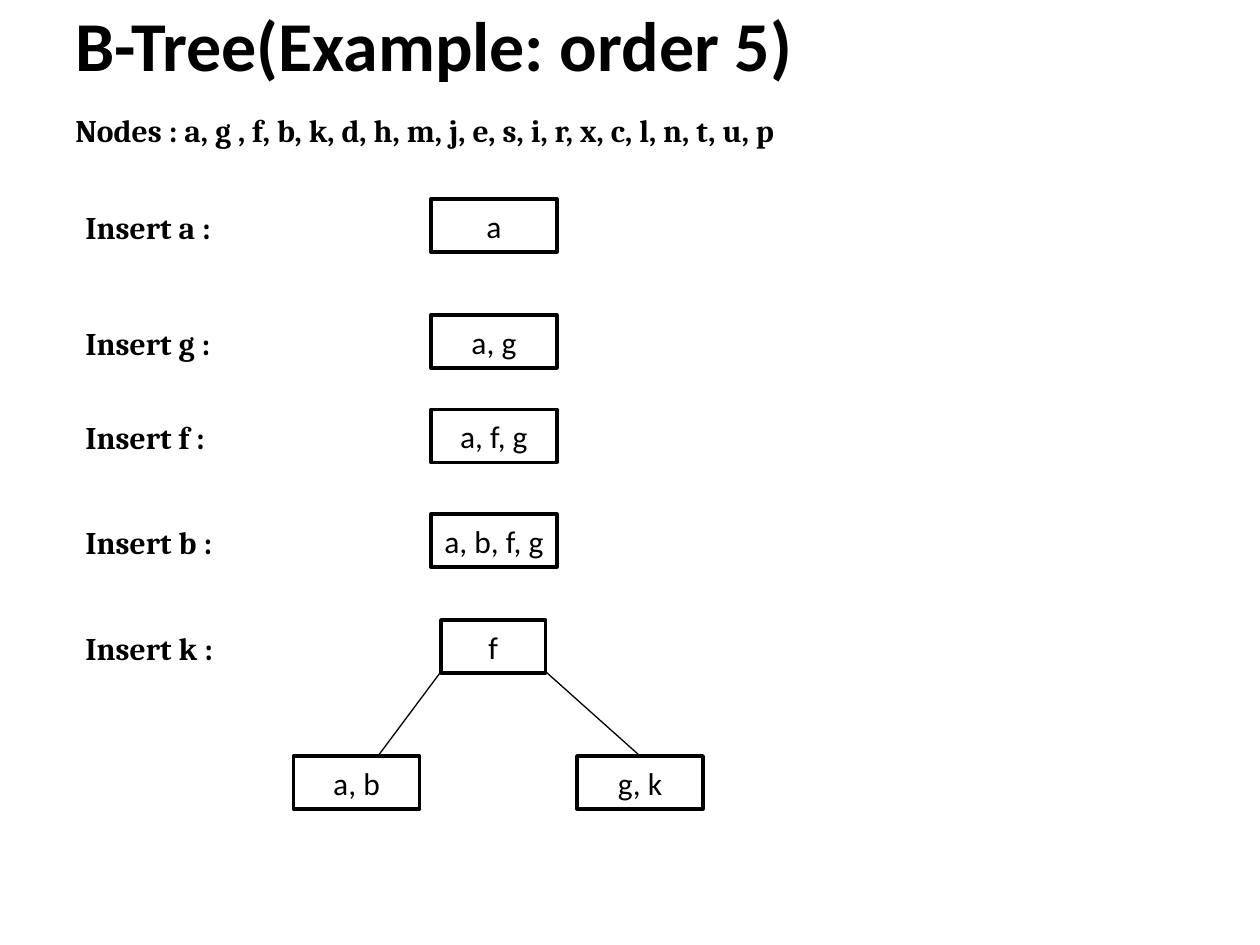
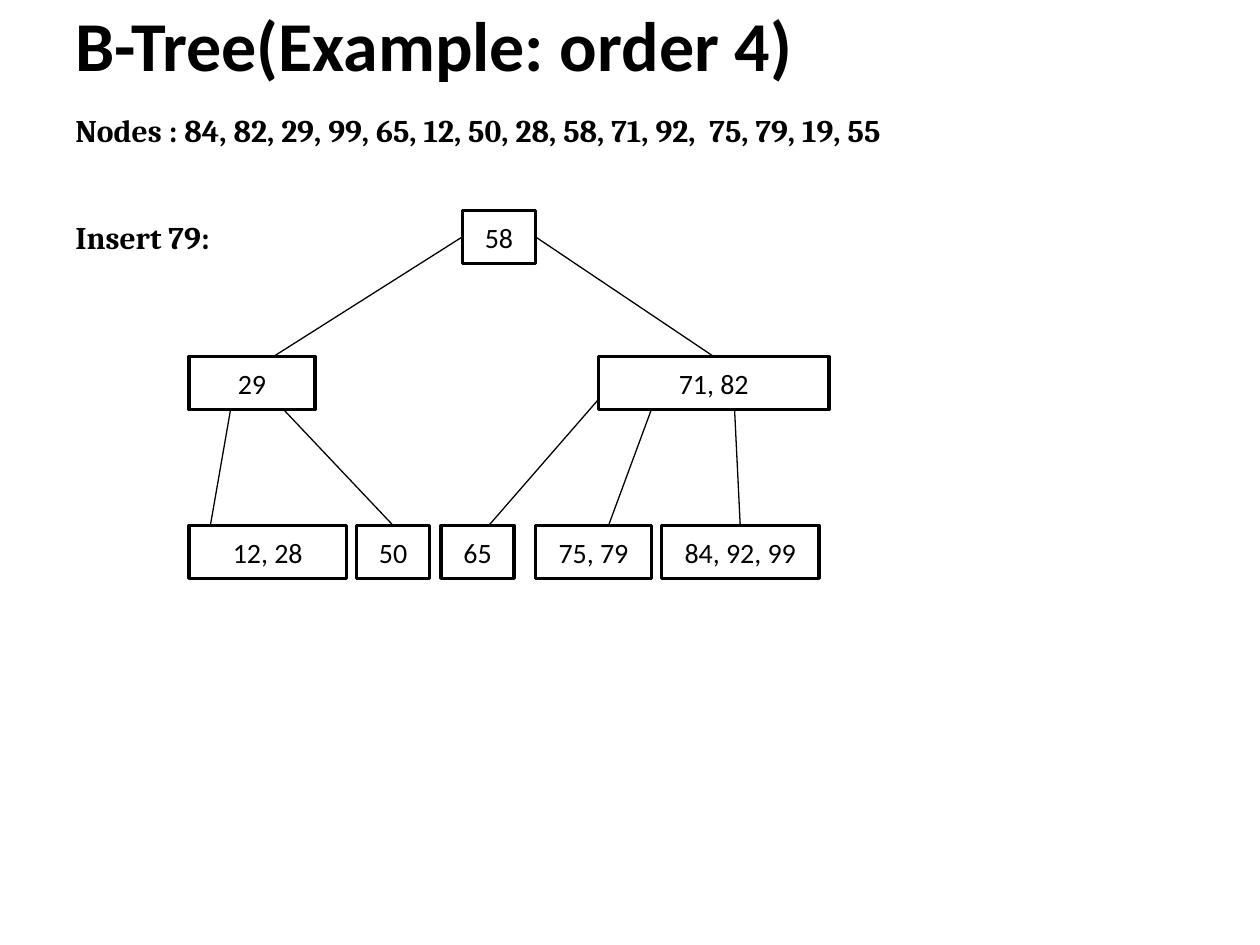
import pptx
import pptx.util
import pptx.dml.color
import pptx.enum.shapes
import pptx.enum.text
from dataclasses import dataclass
from lxml import etree
from pptx.util import Inches


@dataclass(frozen=True)
class Theme:
    ink = pptx.dml.color.RGBColor(0x00, 0x00, 0x00)
    paper = pptx.dml.color.RGBColor(0xFF, 0xFF, 0xFF)
    node_font = "Calibri"
    label_font = "Cambria"
    title_size = 40
    label_size = 18
    border = 2
    edge = 0.75
    node_height = 0.42


theme = Theme()
ALIGN = pptx.enum.text.PP_ALIGN
ANCHOR = pptx.enum.text.MSO_ANCHOR


def write(box, text, font, size, bold, align, anchor):
    """Fill a shape with one styled run inside the shared margins."""
    frame = box.text_frame
    frame.word_wrap = True
    frame.auto_size = pptx.enum.text.MSO_AUTO_SIZE.NONE
    frame.vertical_anchor = anchor
    frame.margin_left = frame.margin_right = Inches(0.1)
    frame.margin_top = frame.margin_bottom = Inches(0.05)
    para = frame.paragraphs[0]
    para.alignment = align
    span = para.add_run()
    span.text = text
    span.font.name = font
    span.font.size = pptx.util.Pt(size)
    span.font.bold = bold
    span.font.color.rgb = theme.ink


def add_label(page, text, left, top, width):
    box = page.shapes.add_textbox(Inches(left), Inches(top), Inches(width), Inches(0.4))
    write(box, text, theme.label_font, theme.label_size, True, ALIGN.JUSTIFY, ANCHOR.TOP)


# Labels are (text, left, top); nodes are (keys, left, top, width).
# An edge end is either a point (x, y) or a node side (keys, side).
insertions = [("a", "a", 1.58), ("g", "a, g", 2.5), ("f", "a, f, g", 3.25),
              ("b", "a, b, f, g", 4.08), ("k", "f", 4.92)]
root_left, root_width = 3.5, 0.83

examples = [
    {
        "order": 5,
        "keys": "a, g , f, b, k, d, h, m, j, e, s, i, r, x, c, l, n, t, u, p",
        "node_size": 18,
        "labels": [(f"Insert {key} :", 0.58, top + 0.02) for key, _, top in insertions],
        "nodes": [(keys, 3.42, top, 1) for _, keys, top in insertions[:-1]] + [
            ("f", root_left, 4.92, root_width),
            ("a, b", 2.33, 6, 1),
            ("g, k", 4.58, 6, 1),
        ],
        "edges": [
            ((root_left, 5.33), (3, 6)),
            ((root_left + root_width, 5.33), ("g, k", 0)),
        ],
    },
    {
        "order": 4,
        "keys": "84, 82, 29, 99, 65, 12, 50, 28, 58, 71, 92,  75, 79, 19, 55",
        "node_size": 16,
        "labels": [("Insert 79:", 0.5, 1.68)],
        "nodes": [
            ("58", 3.67, 1.67, 0.58),
            ("29", 1.5, 2.83, 1),
            ("71, 82", 4.75, 2.83, 1.83),
            ("12, 28", 1.5, 4.17, 1.25),
            ("50", 2.83, 4.17, 0.58),
            ("65", 3.5, 4.17, 0.58),
            ("75, 79", 4.25, 4.17, 0.92),
            ("84, 92, 99", 5.25, 4.17, 1.25),
        ],
        "edges": [
            (("58", 1), (2.17, 2.83)),
            (("58", 3), ("71, 82", 0)),
            ((1.83, 3.25), (1.67, 4.17)),
            ((2.25, 3.25), ("50", 0)),
            ((4.75, 3.17), (3.88, 4.17)),
            ((5.17, 3.25), (4.83, 4.17)),
            ((5.83, 3.25), ("84, 92, 99", 0)),
        ],
    },
]

deck = pptx.Presentation()
deck.slide_width, deck.slide_height = Inches(10), Inches(7.5)
title_only = deck.slide_layouts[5]

for example in examples:
    page = deck.slides.add_slide(title_only)
    title = page.shapes.title
    title.left, title.top = Inches(0.5), Inches(0.08)
    title.width, title.height = Inches(9.25), Inches(0.53)
    write(title, f"B-Tree(Example: order {example['order']})", theme.node_font,
          theme.title_size, True, ALIGN.LEFT, ANCHOR.MIDDLE)

    add_label(page, f"Nodes : {example['keys']}", 0.5, 0.83, 9.08)
    for text, left, top in example["labels"]:
        add_label(page, text, left, top, 3)

    nodes = {}
    for keys, left, top, width in example["nodes"]:
        node = page.shapes.add_shape(
            pptx.enum.shapes.MSO_SHAPE.RECTANGLE,
            Inches(left), Inches(top), Inches(width), Inches(theme.node_height))
        node.shadow.inherit = False
        node.fill.solid()
        node.fill.fore_color.rgb = theme.paper
        node.line.color.rgb = theme.ink
        node.line.width = pptx.util.Pt(theme.border)
        write(node, keys, theme.node_font, example["node_size"], False,
              ALIGN.CENTER, ANCHOR.MIDDLE)
        nodes[keys] = node

    for start, end in example["edges"]:
        edge = page.shapes.add_connector(pptx.enum.shapes.MSO_CONNECTOR.STRAIGHT, 0, 0, 0, 0)
        if start[0] in nodes:
            edge.begin_connect(nodes[start[0]], start[1])
        else:
            edge.begin_x, edge.begin_y = Inches(start[0]), Inches(start[1])
        if end[0] in nodes:
            edge.end_connect(nodes[end[0]], end[1])
        else:
            edge.end_x, edge.end_y = Inches(end[0]), Inches(end[1])
        edge.line.color.rgb = theme.ink
        edge.line.width = pptx.util.Pt(theme.edge)
        etree.SubElement(edge._element.spPr, pptx.oxml.ns.qn("a:effectLst"))

deck.save("out.pptx")
